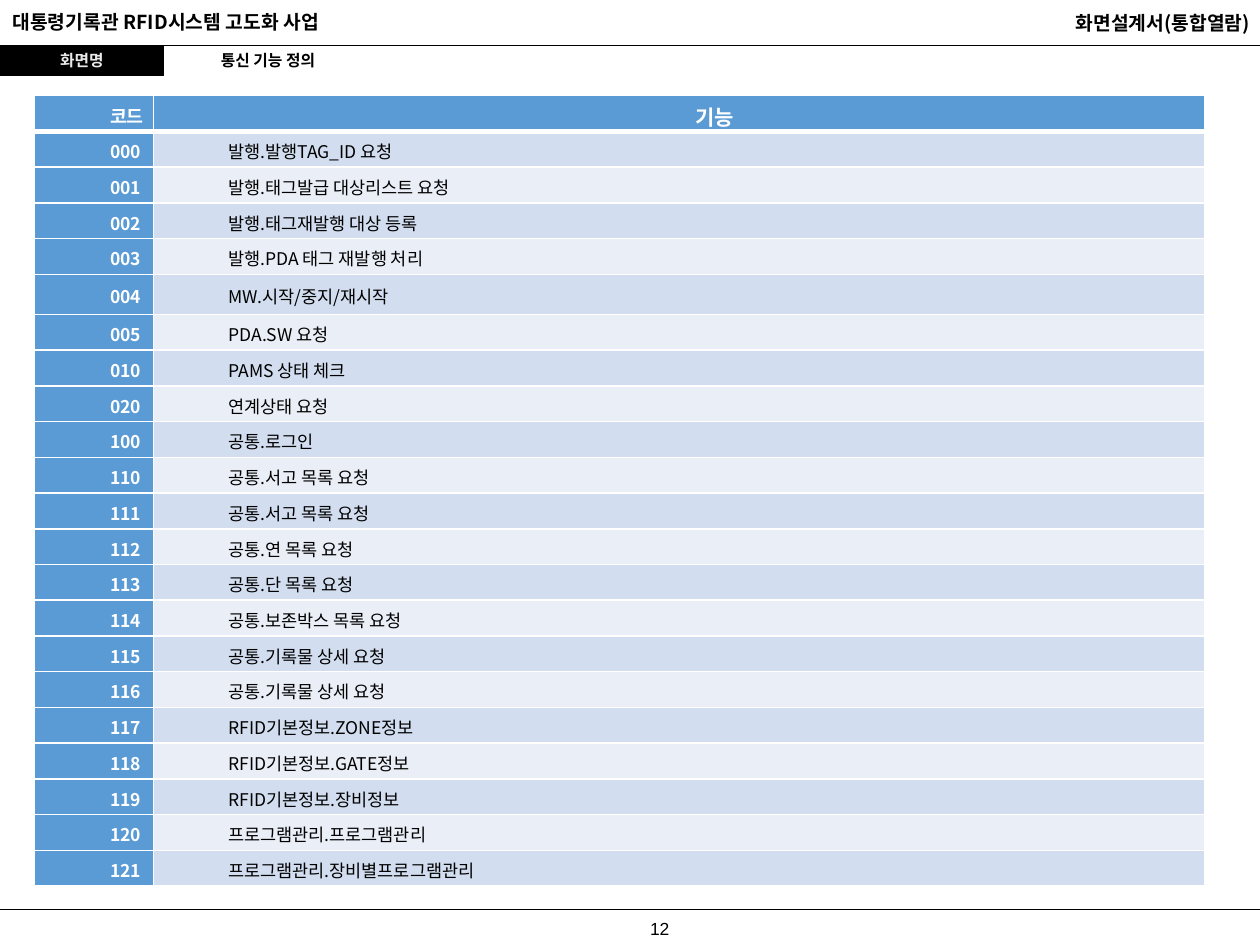
from dataclasses import dataclass
from typing import Any

from pptx import Presentation
from pptx.dml.color import RGBColor
from pptx.enum import shapes, text
from pptx.oxml.ns import qn
from pptx.util import Cm, Pt
from lxml import etree


@dataclass(frozen=True)
class Theme:
    ink: str = "000000"
    paper: str = "FFFFFF"
    badge_ink: str = "EAEAEA"
    accent: str = "5B9BD5"
    bands: tuple[str, str] = ("D2DEEF", "EAEFF7")
    korean: str = "Noto Sans CJK KR"
    latin: str = "Arial"
    title: float = 11
    label: float = 9
    code_head: float = 10.5
    function_head: float = 12
    body: float = 10


@dataclass(frozen=True)
class Style:
    size: float
    color: str
    bold: bool = True
    align: Any = text.PP_ALIGN.LEFT
    font: str = Theme.korean


@dataclass(frozen=True)
class Label:
    wording: str
    left: float
    top: float
    width: float
    height: float
    style: Style
    inset: float = 0.13
    anchor: Any = text.MSO_ANCHOR.TOP
    wrap: bool = True
    fill: str | None = None


THEME = Theme()
ALIGN = text.PP_ALIGN
MIDDLE = text.MSO_ANCHOR.MIDDLE
PAGE_WIDTH, PAGE_HEIGHT = 25.4, 19.05
HEADER_Y, FOOTER_Y = 0.92, 18.34
ROW_HEIGHT, TALL_ROW_HEIGHT, TALL_CODE = 0.72, 0.81, "004"

LABELS = (
    Label("화면설계서(통합열람)", 14.9, 0.15, 10.55, 0.72,
          Style(THEME.title, THEME.ink, align=ALIGN.RIGHT), inset=0.08),
    Label("화면명", 0, HEADER_Y, 3.3, 0.6,
          Style(THEME.label, THEME.badge_ink, align=ALIGN.CENTER),
          anchor=MIDDLE, wrap=False, fill=THEME.ink),
    Label("대통령기록관 RFID시스템 고도화 사업", 0, 0.13, 11.3, 0.73,
          Style(THEME.title, THEME.ink), inset=0.08),
    Label("12", 12.12, 18.37, 2.36, 0.68,
          Style(THEME.body, THEME.ink, False, ALIGN.CENTER, THEME.latin)),
    Label("통신 기능 정의", 3.3, HEADER_Y, 4.2, 0.6,
          Style(THEME.label, THEME.ink, align=ALIGN.CENTER),
          anchor=MIDDLE, wrap=False),
)

FUNCTIONS = {
    "000": "발행.발행TAG_ID 요청",
    "001": "발행.태그발급 대상리스트 요청",
    "002": "발행.태그재발행 대상 등록",
    "003": "발행.PDA 태그 재발행 처리",
    "004": "MW.시작/중지/재시작",
    "005": "PDA.SW 요청",
    "010": "PAMS 상태 체크",
    "020": "연계상태 요청",
    "100": "공통.로그인",
    "110": "공통.서고 목록 요청",
    "111": "공통.서고 목록 요청",
    "112": "공통.연 목록 요청",
    "113": "공통.단 목록 요청",
    "114": "공통.보존박스 목록 요청",
    "115": "공통.기록물 상세 요청",
    "116": "공통.기록물 상세 요청",
    "117": "RFID기본정보.ZONE정보",
    "118": "RFID기본정보.GATE정보",
    "119": "RFID기본정보.장비정보",
    "120": "프로그램관리.프로그램관리",
    "121": "프로그램관리.장비별프로그램관리",
}


def rgb(value: str) -> RGBColor:
    return RGBColor.from_string(value)


def set_all(target: Any, values: dict[str, Any]) -> None:
    for name, value in values.items():
        setattr(target, name, value)


def write(para: Any, wording: str, style: Style) -> None:
    """Put one styled span in the paragraph, for Latin and Korean letters alike."""
    para.alignment = style.align
    span = para.add_run()
    span.text = wording
    set_all(span.font, {"name": style.font, "size": Pt(style.size), "bold": style.bold})
    span.font.color.rgb = rgb(style.color)
    east_asian = etree.SubElement(span.font._element, qn("a:ea"))
    east_asian.set("typeface", style.font)


def draw_rule(page: Any, y: float) -> None:
    rule = page.shapes.add_connector(
        shapes.MSO_CONNECTOR.STRAIGHT, Cm(0), Cm(y), Cm(PAGE_WIDTH), Cm(y))
    rule.line.width = Pt(0.75)
    rule.line.color.rgb = rgb(THEME.ink)
    etree.SubElement(rule._element.spPr, qn("a:effectLst"))


def draw_label(page: Any, label: Label) -> None:
    place = [Cm(n) for n in (label.left, label.top, label.width, label.height)]
    if label.fill:
        box = page.shapes.add_shape(shapes.MSO_SHAPE.RECTANGLE, *place)
        box.shadow.inherit = False
        box.fill.solid()
        box.fill.fore_color.rgb = box.line.color.rgb = rgb(label.fill)
        box.line.width = Pt(0.75)
    else:
        box = page.shapes.add_textbox(*place)
    set_all(box.text_frame, {
        "word_wrap": label.wrap, "vertical_anchor": label.anchor,
        "margin_top": Cm(label.inset), "margin_bottom": Cm(label.inset)})
    write(box.text_frame.paragraphs[0], label.wording, label.style)


def add_borders(cell: Any, bottom: float) -> None:
    properties = cell._tc.get_or_add_tcPr()
    for side, width in (("L", 1), ("R", 1), ("T", 1), ("B", bottom)):
        line = etree.SubElement(properties, qn(f"a:ln{side}"), w=str(Pt(width)))
        fill = etree.SubElement(line, qn("a:solidFill"))
        etree.SubElement(fill, qn("a:srgbClr"), val=THEME.paper)


def fill_cell(cell: Any, wording: str, style: Style, fill: str, bottom: float = 1) -> None:
    set_all(cell, {
        "vertical_anchor": MIDDLE, "margin_left": Cm(0.1), "margin_right": Cm(0.1),
        "margin_top": 0, "margin_bottom": 0})
    add_borders(cell, bottom)
    cell.fill.solid()
    cell.fill.fore_color.rgb = rgb(fill)
    para = cell.text_frame.paragraphs[0]
    set_all(para, {"line_spacing": 1.15, "space_after": Pt(10)})
    para._p.get_or_add_pPr().attrib.update({"marL": str(Cm(1.42)), "indent": "0"})
    write(para, wording, style)


def draw_function_table(page: Any) -> None:
    heights = [ROW_HEIGHT] + [
        TALL_ROW_HEIGHT if code == TALL_CODE else ROW_HEIGHT for code in FUNCTIONS]
    widths = (2.39, 21.2)
    table = page.shapes.add_table(
        len(heights), len(widths), Cm(0.7), Cm(1.93),
        Cm(sum(widths)), Cm(sum(heights))).table
    table.horz_banding = False
    for column, width in zip(table.columns, widths):
        column.width = Cm(width)
    for row, height in zip(table.rows, heights):
        row.height = Cm(height)

    fill_cell(table.cell(0, 0), "코드", Style(THEME.code_head, THEME.paper),
              THEME.accent, bottom=3)
    fill_cell(table.cell(0, 1), "기능",
              Style(THEME.function_head, THEME.paper, align=ALIGN.CENTER),
              THEME.accent, bottom=3)
    code_style = Style(THEME.body, THEME.paper)
    function_style = Style(THEME.body, THEME.ink, False, ALIGN.JUSTIFY)
    for index, (code, function) in enumerate(FUNCTIONS.items()):
        fill_cell(table.cell(index + 1, 0), code, code_style, THEME.accent)
        fill_cell(table.cell(index + 1, 1), function, function_style,
                  THEME.bands[index % 2])


def main() -> None:
    deck = Presentation()
    set_all(deck, {"slide_width": Cm(PAGE_WIDTH), "slide_height": Cm(PAGE_HEIGHT)})
    page = deck.slides.add_slide(deck.slide_layouts[6])
    for y in (HEADER_Y, FOOTER_Y):
        draw_rule(page, y)
    for label in LABELS:
        draw_label(page, label)
    draw_function_table(page)
    deck.save("out.pptx")


if __name__ == "__main__":
    main()
